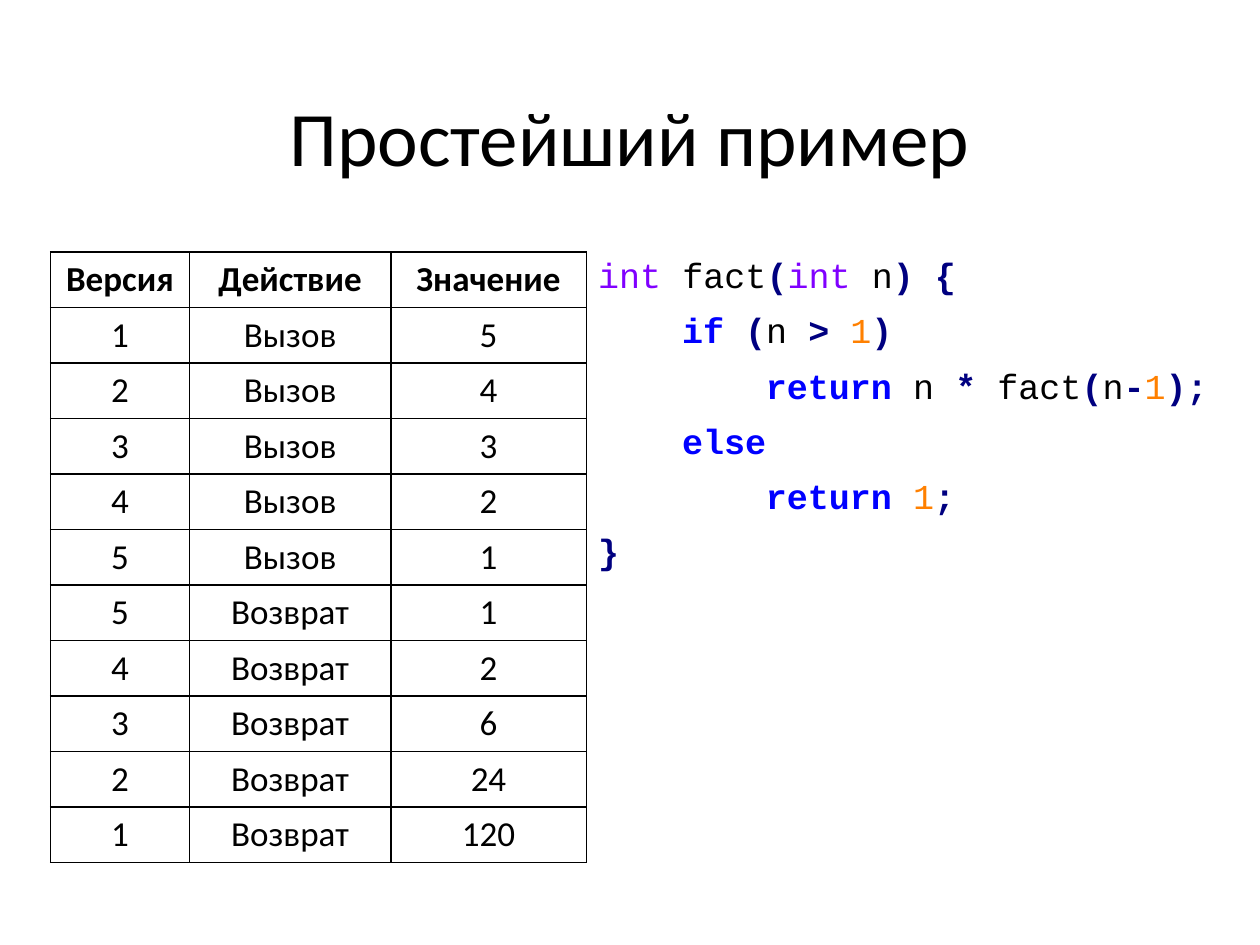
from dataclasses import dataclass
from typing import NamedTuple

from lxml.etree import SubElement
from pptx import Presentation
from pptx.dml.color import RGBColor
from pptx.enum.text import MSO_ANCHOR, PP_ALIGN
from pptx.oxml.ns import qn
from pptx.util import Cm, Pt


@dataclass(frozen=True)
class Theme:
    black: str = "000000"
    type_name: str = "8000FF"
    keyword: str = "0000FF"
    operator: str = "000080"
    number: str = "FF8000"
    text_font: str = "Calibri"
    code_font: str = "Courier New"
    title_size: int = 44
    body_size: int = 20


class Token(NamedTuple):
    text: str
    color: str
    bold: bool = False


class CodeLine(NamedTuple):
    level: int
    tokens: list[Token]


THEME = Theme()


def plain(text: str) -> Token:
    return Token(text, THEME.black)


def type_name(text: str) -> Token:
    return Token(text, THEME.type_name)


def number(text: str) -> Token:
    return Token(text, THEME.number)


def keyword(text: str) -> Token:
    return Token(text, THEME.keyword, True)


def operator(text: str) -> Token:
    return Token(text, THEME.operator, True)


COLUMN_WIDTHS = [Cm(2.8), Cm(4.06), Cm(3.94)]
ROW_HEIGHT = Cm(1.1)
HEADER = ("Версия", "Действие", "Значение")
# Each call goes one version deeper; the returns come back in reverse order
CALLS = [(version, "Вызов", 6 - version) for version in range(1, 6)]
RETURNS = [(version, "Возврат", value)
           for version, value in zip(range(5, 0, -1), (1, 2, 6, 24, 120))]

FACTORIAL = [
    CodeLine(0, [type_name("int"), plain(" fact"), operator("("),
                 type_name("int "), plain("n"), operator(") {")]),
    CodeLine(1, [keyword("if "), operator("("), plain("n "), operator("> "),
                 number("1"), operator(")")]),
    CodeLine(2, [keyword("return"), plain(" n "), operator("*"), plain(" fact"),
                 operator("("), plain("n"), operator("-"), number("1"),
                 operator(");")]),
    CodeLine(1, [keyword("else")]),
    CodeLine(2, [keyword("return "), number("1"), operator(";")]),
    CodeLine(0, [operator("}")]),
]


def add_text(paragraph, text: str, *, size: int = THEME.body_size,
             font: str = THEME.text_font, color: str = THEME.black,
             bold: bool = False, align=None) -> None:
    if align is not None:
        paragraph.alignment = align
    run = paragraph.add_run()
    run.text = text
    run.font.name = font
    run.font.size = Pt(size)
    run.font.bold = bold
    run.font.color.rgb = RGBColor.from_string(color)


def add_borders(cell) -> None:
    properties = cell._tc.get_or_add_tcPr()
    for position, side in enumerate(("a:lnL", "a:lnR", "a:lnT", "a:lnB")):
        line = SubElement(properties, qn(side), w=str(Pt(1)))
        fill = SubElement(line, qn("a:solidFill"))
        SubElement(fill, qn("a:srgbClr"), val=THEME.black)
        # Borders come before the cell fill
        properties.insert(position, line)


def add_trace_table(slide) -> None:
    rows = [HEADER, *CALLS, *RETURNS]
    table = slide.shapes.add_table(
        len(rows), len(HEADER), Cm(1.02), Cm(5.08),
        sum(COLUMN_WIDTHS), ROW_HEIGHT * len(rows)).table
    table.first_row = table.horz_banding = False
    for column, width in zip(table.columns, COLUMN_WIDTHS):
        column.width = width
    for row_index, values in enumerate(rows):
        for column_index, value in enumerate(values):
            cell = table.cell(row_index, column_index)
            cell.fill.background()
            add_borders(cell)
            add_text(cell.text_frame.paragraphs[0], str(value),
                     bold=row_index == 0, align=PP_ALIGN.CENTER)


def add_code(slide, lines: list[CodeLine]) -> None:
    frame = slide.shapes.add_textbox(
        Cm(11.81), Cm(5.08), Cm(13.28), Cm(12.09)).text_frame
    frame.word_wrap = True
    for index, line in enumerate(lines):
        paragraph = frame.add_paragraph() if index else frame.paragraphs[0]
        paragraph.line_spacing = 0.9
        paragraph.space_before = Pt(10)
        # One level is four monospaced characters wide
        paragraph._p.get_or_add_pPr().set("marL", str(Cm(1.69) * line.level))
        for token in line.tokens:
            add_text(paragraph, token.text, font=THEME.code_font,
                     color=token.color, bold=token.bold)


def add_title(slide, text: str) -> None:
    title = slide.shapes.title
    title.left, title.top = Cm(1.75), Cm(1.02)
    title.width, title.height = Cm(21.89), Cm(3.68)
    title.text_frame.vertical_anchor = MSO_ANCHOR.MIDDLE
    heading = title.text_frame.paragraphs[0]
    heading.line_spacing = 0.9
    add_text(heading, text, size=THEME.title_size, align=PP_ALIGN.CENTER)


def main() -> None:
    presentation = Presentation()
    presentation.slide_width, presentation.slide_height = Cm(25.4), Cm(19.05)
    slide = presentation.slides.add_slide(presentation.slide_layouts[5])
    add_title(slide, "Простейший пример")
    add_trace_table(slide)
    add_code(slide, FACTORIAL)
    presentation.save("out.pptx")


if __name__ == "__main__":
    main()
